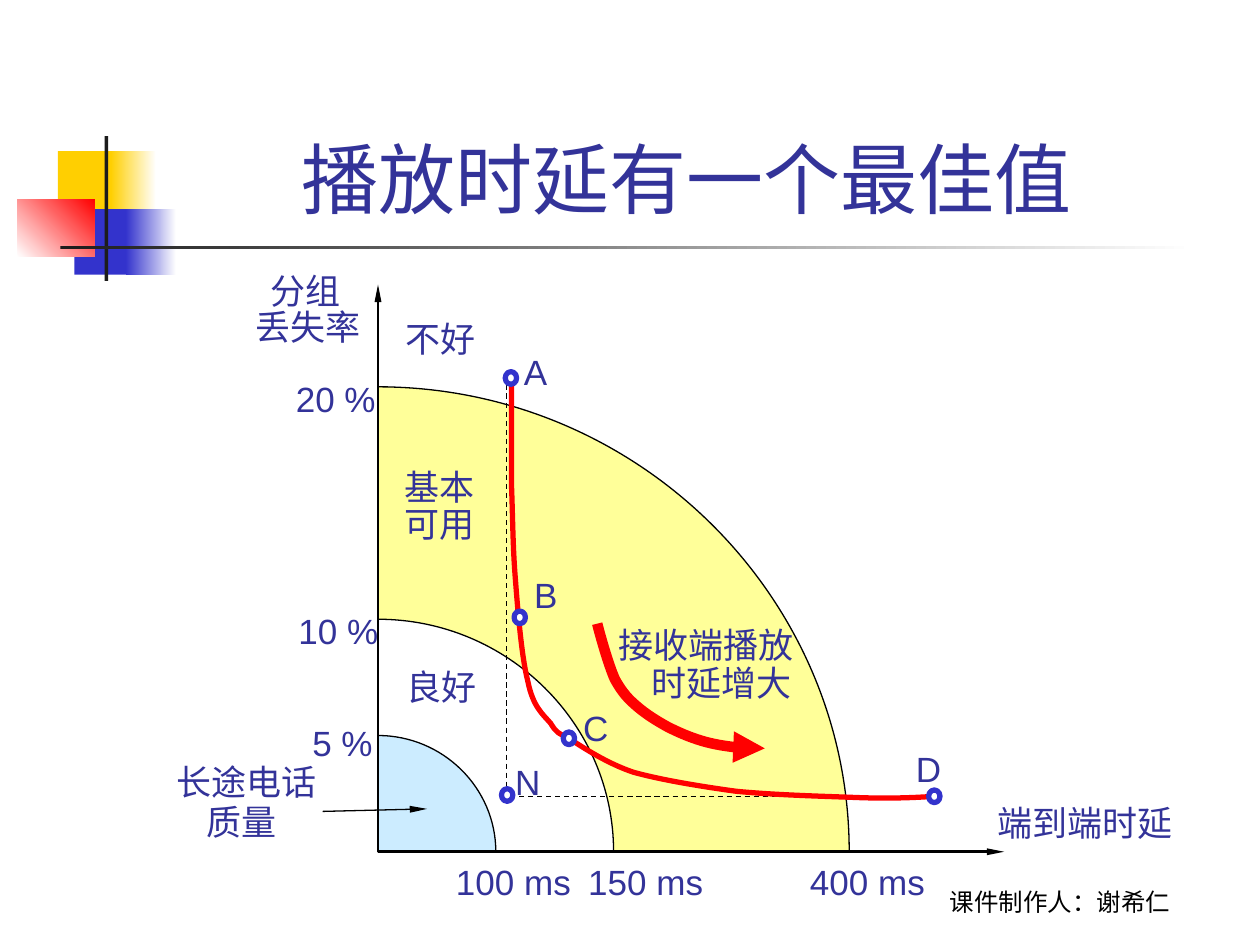
"""Build a slide on how playout delay trades packet loss against end-to-end delay."""
import lxml.etree
import pptx
import pptx.dml.color
import pptx.enum.dml
import pptx.enum.shapes
import pptx.enum.text
import pptx.oxml.ns
import pptx.util

Inches = pptx.util.Inches
Pt = pptx.util.Pt
qn = pptx.oxml.ns.qn
ALIGN = pptx.enum.text.PP_ALIGN
SHAPE = pptx.enum.shapes.MSO_SHAPE
COLORS = {
    name: pptx.dml.color.RGBColor.from_string(value)
    for name, value in {
        "text": "333399", "black": "000000", "white": "FFFFFF", "gold": "FFCF01",
        "blue": "3333CC", "red": "FF0000", "charcoal": "1C1C1C",
        "usable": "FFFF99", "toll": "CCECFF",
    }.items()
}


def add_text(text, left, top, width, height, size=20, spacing=1.0, indents=(0, 0),
             color="text", font="Arial", heading=False):
    """Place a text box and format its paragraphs, each with its own indent."""
    box = slide.shapes.add_textbox(Inches(left), Inches(top), Inches(width), Inches(height))
    frame = box.text_frame
    frame.text = text
    frame.word_wrap = True
    if heading:
        frame.vertical_anchor = pptx.enum.text.MSO_ANCHOR.BOTTOM
    else:
        frame.margin_right = 0
    for paragraph, indent in zip(frame.paragraphs, indents):
        paragraph.alignment = ALIGN.CENTER if heading else ALIGN.LEFT
        paragraph.line_spacing = spacing
        if indent:
            paragraph._p.get_or_add_pPr().set("marL", str(Inches(indent)))
        for run in paragraph.runs:
            run.font.size = Pt(size)
            run.font.name = font
            run.font.color.rgb = COLORS[color]


def add_path(points, color, width, fill=None):
    """Draw a path in inches; each three points make a cubic curve, any rest straight lines."""
    corners = [(Inches(x), Inches(y)) for x, y in points]
    builder = slide.shapes.build_freeform(*corners[0])
    builder.add_line_segments(corners[1:], close=fill is not None)
    path = builder.convert_to_shape()
    segments = list(path._element.spPr.iter(qn("a:lnTo")))
    for first in range(0, len(segments) - 2, 3):
        curve = lxml.etree.Element(qn("a:cubicBezTo"))
        segments[first].addprevious(curve)
        for segment in segments[first:first + 3]:
            curve.append(segment[0])
            segment.getparent().remove(segment)
    path.shadow.inherit = False
    path.line.color.rgb = COLORS[color]
    path.line.width = Pt(width)
    if fill:
        path.fill.solid()
        path.fill.fore_color.rgb = COLORS[fill]
    else:
        path.fill.background()
    return path


deck = pptx.Presentation()
deck.slide_width, deck.slide_height = Inches(10), Inches(7.5)
slide = deck.slides.add_slide(deck.slide_layouts[6])

for left, top, width, height, start, end, angle in [
    (0.46, 1.2, 0.48, 0.52, "gold", None, 0),
    (0.88, 1.2, 0.36, 0.52, "gold", "white", 0),
    (0.59, 1.66, 0.46, 0.52, "blue", None, 0),
    (1, 1.66, 0.4, 0.52, "blue", "white", 0),
    (0.14, 1.58, 0.61, 0.46, "white", "red", 45),
    (0.83, 1.08, 0.03, 1.15, "charcoal", None, 0),
    (0.48, 1.95, 9, 0.03, "charcoal", "white", 0),
]:
    ornament = slide.shapes.add_shape(
        SHAPE.RECTANGLE, Inches(left), Inches(top), Inches(width), Inches(height))
    ornament.shadow.inherit = False
    ornament.line.fill.background()
    if end:
        ornament.fill.gradient()
        ornament.fill.gradient_angle = angle
        for stop, name in zip(ornament.fill.gradient_stops, (start, end)):
            stop.color.rgb = COLORS[name]
    else:
        ornament.fill.solid()
        ornament.fill.fore_color.rgb = COLORS[start]

add_text("播放时延有一个最佳值", 1.19, 0.23, 8.52, 1.6, 44, heading=True)
add_text("课件制作人：谢希仁", 6.83, 6.82, 3.17, 0.5, 14,
         color="black", font="Cabin", heading=True)

origin_x, origin_y = 3, 6.76
reach_x, reach_y = 3.74, 3.69
bend = 0.55
zones = [(1, "usable"), (0.5, "white"), (0.25, "toll")]
straight_lines = []
for share, zone in zones:
    limit_x, limit_y = origin_x + reach_x * share, origin_y - reach_y * share
    straight_lines.append((limit_x, 6.68, limit_x, origin_y, 0.75, False))
    straight_lines.append((3.08, limit_y, origin_x, limit_y, 0.75, False))
straight_lines += [
    (origin_x, origin_y, origin_x, 2.26, 1.5, True),
    (origin_x, origin_y, 7.97, origin_y, 1.5, True),
    (2.56, 6.44, 3.39, 6.42, 0.75, True),
]

tick_count = 2 * len(zones)
for position, (start_x, start_y, end_x, end_y, weight, pointed) in enumerate(straight_lines):
    if position == tick_count:
        for share, zone in zones:
            span_x, span_y = reach_x * share, reach_y * share
            add_path([
                (origin_x, origin_y - span_y),
                (origin_x + span_x * bend, origin_y - span_y),
                (origin_x + span_x, origin_y - span_y * bend),
                (origin_x + span_x, origin_y),
                (origin_x, origin_y),
            ], "black", 0.75, zone)
    stroke = slide.shapes.add_connector(
        pptx.enum.shapes.MSO_CONNECTOR.STRAIGHT,
        Inches(start_x), Inches(start_y), Inches(end_x), Inches(end_y))
    stroke.line.color.rgb = COLORS["black"]
    stroke.line.width = Pt(weight)
    lxml.etree.SubElement(stroke._element.spPr, qn("a:effectLst"))
    if pointed:
        lxml.etree.SubElement(stroke._element.spPr.find(qn("a:ln")), qn("a:tailEnd"),
                              type="triangle", w="sm", len="lg")

guide = add_path([(4.02, 2.98), (4.02, 6.32), (7.4, 6.32)], "black", 0.75)
guide.line.dash_style = pptx.enum.dml.MSO_LINE.DASH

add_path([
    (4.06, 3.03), (4.06, 3.17), (4.06, 3.6), (4.06, 3.86), (4.07, 4.12), (4.07, 4.34),
    (4.09, 4.59), (4.11, 4.85), (4.14, 5.22), (4.19, 5.41), (4.23, 5.61), (4.31, 5.67),
    (4.37, 5.74), (4.42, 5.82), (4.42, 5.81), (4.53, 5.87), (4.64, 5.94), (4.82, 6.06),
    (5.03, 6.13), (5.25, 6.19), (5.55, 6.24), (5.84, 6.28), (6.14, 6.31), (6.54, 6.32),
    (6.8, 6.33), (7.06, 6.34), (7.29, 6.33), (7.41, 6.32),
], "red", 3)
growth = add_path([
    (4.74, 4.95), (4.76, 5.03), (4.83, 5.28), (4.88, 5.39), (4.94, 5.5), (4.99, 5.55),
    (5.06, 5.61), (5.13, 5.67), (5.21, 5.72), (5.3, 5.77), (5.38, 5.81), (5.47, 5.85),
    (5.57, 5.88), (5.67, 5.91), (5.82, 5.93), (5.9, 5.94), (5.98, 5.95), (6.03, 5.95),
    (6.07, 5.94),
], "red", 6)
lxml.etree.SubElement(growth._element.spPr.find(qn("a:ln")), qn("a:tailEnd"), type="triangle")

for letter, left, top, label_left, label_top in [
    ("A", 4.01, 2.95, 4.06, 2.73),
    ("B", 4.08, 4.85, 4.14, 4.5),
    ("C", 4.47, 5.81, 4.53, 5.56),
    ("D", 7.37, 6.27, 7.17, 5.88),
    ("N", 3.98, 6.26, 3.99, 5.99),
]:
    marker = slide.shapes.add_shape(
        SHAPE.OVAL, Inches(left), Inches(top), Inches(0.09), Inches(0.1))
    marker.shadow.inherit = False
    marker.fill.solid()
    marker.fill.fore_color.rgb = COLORS["white"]
    marker.line.color.rgb = COLORS["blue"]
    marker.line.width = Pt(3)
    add_text(letter, label_left, label_top, 0.38 if letter in "AB" else 0.4, 0.44)

for words, left, top, width in [
    ("20 %", 2.25, 2.95, 0.83), ("10 %", 2.27, 4.79, 0.83), ("5 %", 2.38, 5.68, 0.68),
    ("100 ms", 3.52, 6.78, 1.11), ("150 ms", 4.57, 6.78, 1.11), ("400 ms", 6.33, 6.78, 1.11),
    ("不好", 3.12, 2.47, 0.75), ("良好", 3.13, 5.23, 0.75), ("端到端时延", 7.82, 6.31, 1.59),
]:
    add_text(words, left, top, width, 0.44)

for words, left, top, width, height, spacing, indents in [
    ("分组\n丢失率", 1.93, 2.14, 1.03, 0.67, 0.85, (0.12, 0)),
    ("基本\n可用", 3.11, 3.68, 0.75, 0.7, 0.9, (0, 0)),
    ("长途电话\n质量", 1.3, 6.01, 1.31, 0.74, 0.95, (0, 0.24)),
    ("接收端播放\n时延增大", 4.81, 4.94, 1.59, 0.7, 0.9, (0, 0.26)),
]:
    add_text(words, left, top, width, height, spacing=spacing, indents=indents)

deck.save("out.pptx")
